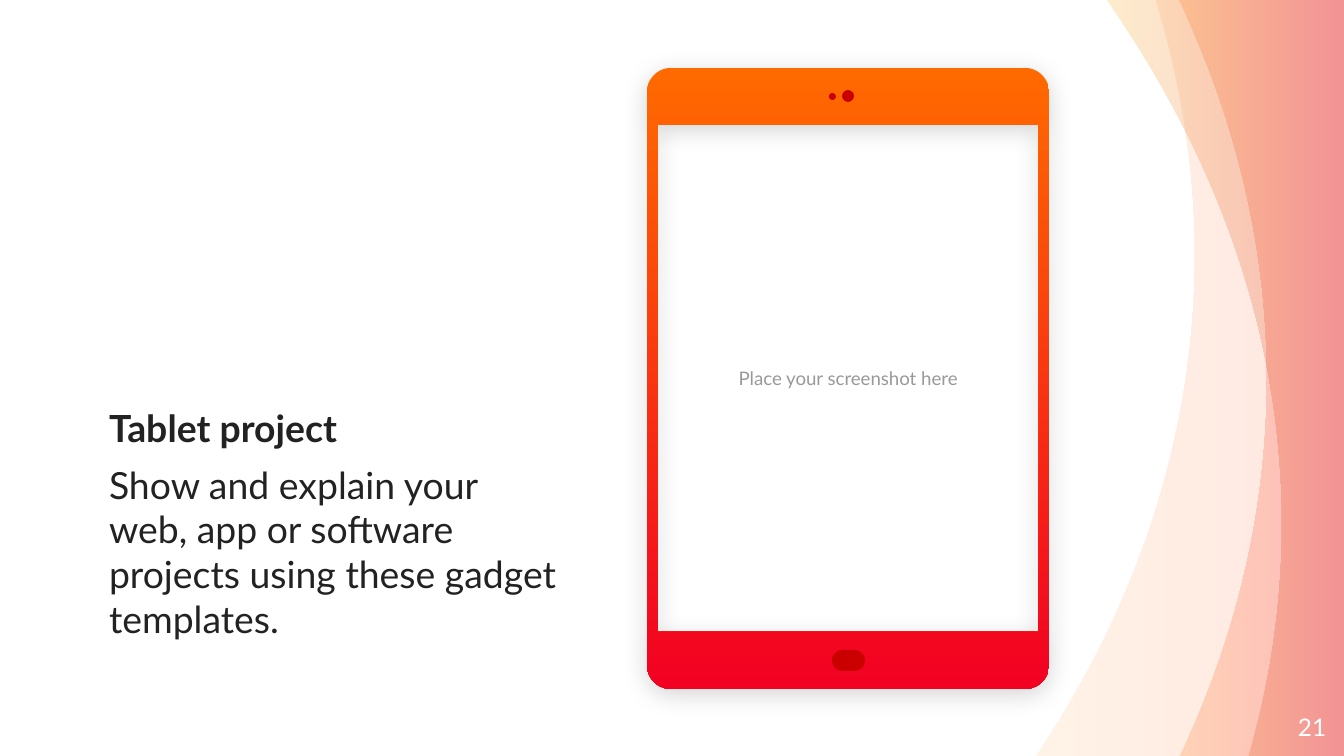
from math import cos, radians, sin

from lxml.etree import SubElement
from pptx import Presentation
from pptx.dml.color import RGBColor
from pptx.enum.shapes import MSO_SHAPE
from pptx.enum.text import MSO_ANCHOR, PP_ALIGN
from pptx.oxml.ns import qn
from pptx.util import Pt

EMU_PER_PX = 914400 / 134.4
WIDTH, HEIGHT = 1344, 756
FONT = "Lato"
COLORS = {
    "text": "222222",
    "hint": "999999",
    "white": "FFFFFF",
    "button": "CA0000",
    "orange": "FF6A00",
    "red": "F20122",
    "peach": "FFC486",
    "coral": "FF866B",
    "amber": "FF9F00",
    "crimson": "CC0000",
    "shadow": "000000",
}

# Left edge of each wave: top, two controls, apex, two controls, bottom; then its colours
WAVES = [
    ([(1156, 0), (1181, 82), (1195, 168), (1195, 255),
      (1195, 434), (1138, 605), (1036, HEIGHT)], "peach", "coral"),
    ([(1179, 0), (1236, 120), (1267, 247), (1267, 379),
      (1267, 512), (1236, 638), (1180, HEIGHT)], "orange", "red"),
    ([(1107, 0), (1219, 160), (1282, 337), (1282, 524),
      (1282, 605), (1270, 683), (1249, HEIGHT)], "amber", "crimson"),
]


def px(n):
    return round(n * EMU_PER_PX)


def rgb(name):
    return RGBColor.from_string(COLORS[name])


def bezier(p0, p1, p2, p3, steps=40):
    """Points along a cubic curve, both ends included."""
    points = []
    for i in range(steps + 1):
        t = i / steps
        weights = ((1 - t) ** 3, 3 * t * (1 - t) ** 2, 3 * t * t * (1 - t), t ** 3)
        points.append(tuple(sum(w * p[axis] for w, p in zip(weights, (p0, p1, p2, p3)))
                            for axis in (0, 1)))
    return points


def rounded_outline(left, top, right, bottom, radius):
    """Clockwise points of a rectangle with round corners."""
    centres = [(right - radius, top + radius, -90), (right - radius, bottom - radius, 0),
               (left + radius, bottom - radius, 90), (left + radius, top + radius, 180)]
    return [(cx + radius * cos(radians(start + step)), cy + radius * sin(radians(start + step)))
            for cx, cy, start in centres for step in range(0, 91, 6)]


def add_outline(s, *contours):
    """Freeform of one or more closed contours, without line or shadow."""
    first, *others = [[(px(x), px(y)) for x, y in contour] for contour in contours]
    builder = s.shapes.build_freeform(*first[0])
    builder.add_line_segments(first[1:])
    for contour in others:
        builder.move_to(*contour[0])
        builder.add_line_segments(contour[1:])
    sp = builder.convert_to_shape()
    sp.line.fill.background()
    sp.shadow.inherit = False
    return sp


def set_gradient(sp, start, end, angle=0, opacity=100):
    sp.fill.gradient()
    sp.fill.gradient_angle = angle
    for stop, name in zip(sp.fill.gradient_stops, (start, end)):
        stop.color.rgb = rgb(name)
    if opacity < 100:
        for color in sp._element.spPr.iter(qn("a:srgbClr")):
            SubElement(color, qn("a:alpha"), val=str(opacity * 1000))


def add_soft_shadow(sp):
    effects = sp._element.spPr.find(qn("a:effectLst"))
    shadow = SubElement(effects, qn("a:outerShdw"), blurRad=str(Pt(13.5)), dist=str(Pt(3)),
                        dir="5400000", algn="bl", rotWithShape="0")
    color = SubElement(shadow, qn("a:srgbClr"), val=COLORS["shadow"])
    SubElement(color, qn("a:alpha"), val="17000")


def add_wave(s, edge, start, end):
    points = bezier(*edge[:4]) + bezier(*edge[3:])[1:] + [(WIDTH, HEIGHT), (WIDTH, 0)]
    set_gradient(add_outline(s, points), start, end, opacity=20)


def add_button(s, kind, left, top, width, height):
    sp = s.shapes.add_shape(kind, px(left), px(top), px(width), px(height))
    sp.shadow.inherit = False
    sp.fill.solid()
    sp.fill.fore_color.rgb = rgb("button")
    sp.line.fill.background()
    return sp


def add_tablet(s):
    screen = [(658, 125), (658, 632), (1038, 632), (1038, 125)]
    body = add_outline(s, rounded_outline(647, 68, 1049, 689, 24), screen)
    set_gradient(body, "orange", "red", angle=270)
    add_soft_shadow(body)
    home = add_button(s, MSO_SHAPE.ROUNDED_RECTANGLE, 832, 650, 33, 21)
    home.adjustments[0] = 0.5
    add_button(s, MSO_SHAPE.OVAL, 829, 93, 7, 7)
    add_button(s, MSO_SHAPE.OVAL, 842, 90, 12, 12)


def add_text(s, box, lines, size, color, anchor, align=PP_ALIGN.LEFT, inset=0, before=0):
    tf = s.shapes.add_textbox(*map(px, box)).text_frame
    tf.word_wrap = True
    tf.vertical_anchor = anchor
    tf.margin_left = tf.margin_right = tf.margin_top = tf.margin_bottom = px(inset)
    tf.text = "\n".join(lines)
    for p in tf.paragraphs:
        p.alignment = align
        p.space_before = Pt(before)
        for r in p.runs:
            r.font.name = FONT
            r.font.size = Pt(size)
            r.font.color.rgb = rgb(color)
    return tf


def main():
    prs = Presentation()
    prs.slide_width, prs.slide_height = px(WIDTH), px(HEIGHT)
    s = prs.slides.add_slide(prs.slide_layouts[6])
    for edge, start, end in WAVES:
        add_wave(s, edge, start, end)
    add_text(s, (657, 125, 382, 506), ["Place your screenshot here"], 10, "hint",
             MSO_ANCHOR.MIDDLE, PP_ALIGN.CENTER, inset=13)
    add_text(s, (1246, 698, 80, 58), ["21"], 13, "white", MSO_ANCHOR.MIDDLE, PP_ALIGN.RIGHT)
    add_tablet(s)
    tf = add_text(s, (109, 125, 453, 516),
                  ["Tablet project", "Show and explain your web, app or software "
                   "projects using these gadget templates."],
                  20, "text", MSO_ANCHOR.BOTTOM, before=6)
    tf.paragraphs[0].runs[0].font.bold = True
    prs.save("out.pptx")


if __name__ == "__main__":
    main()
